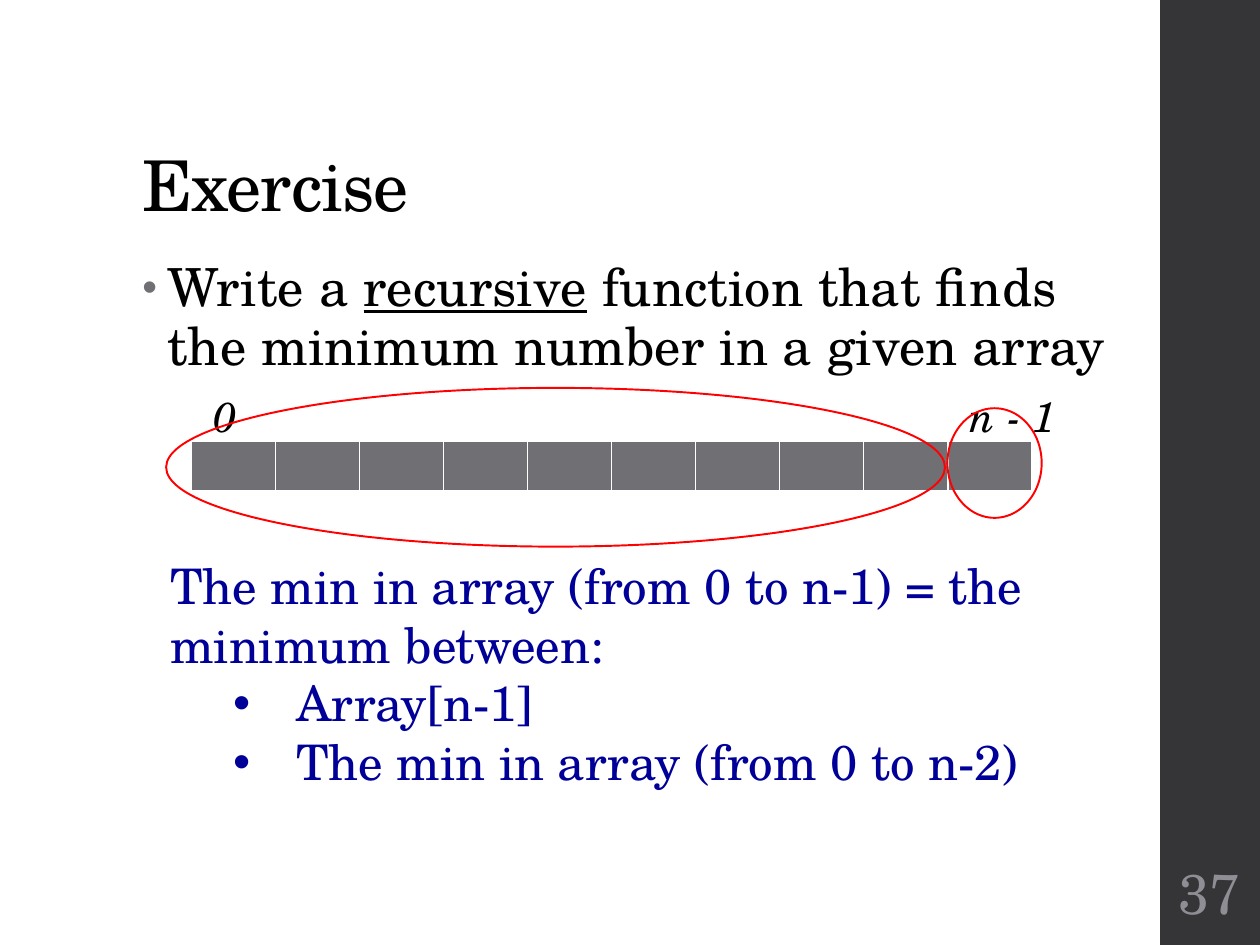
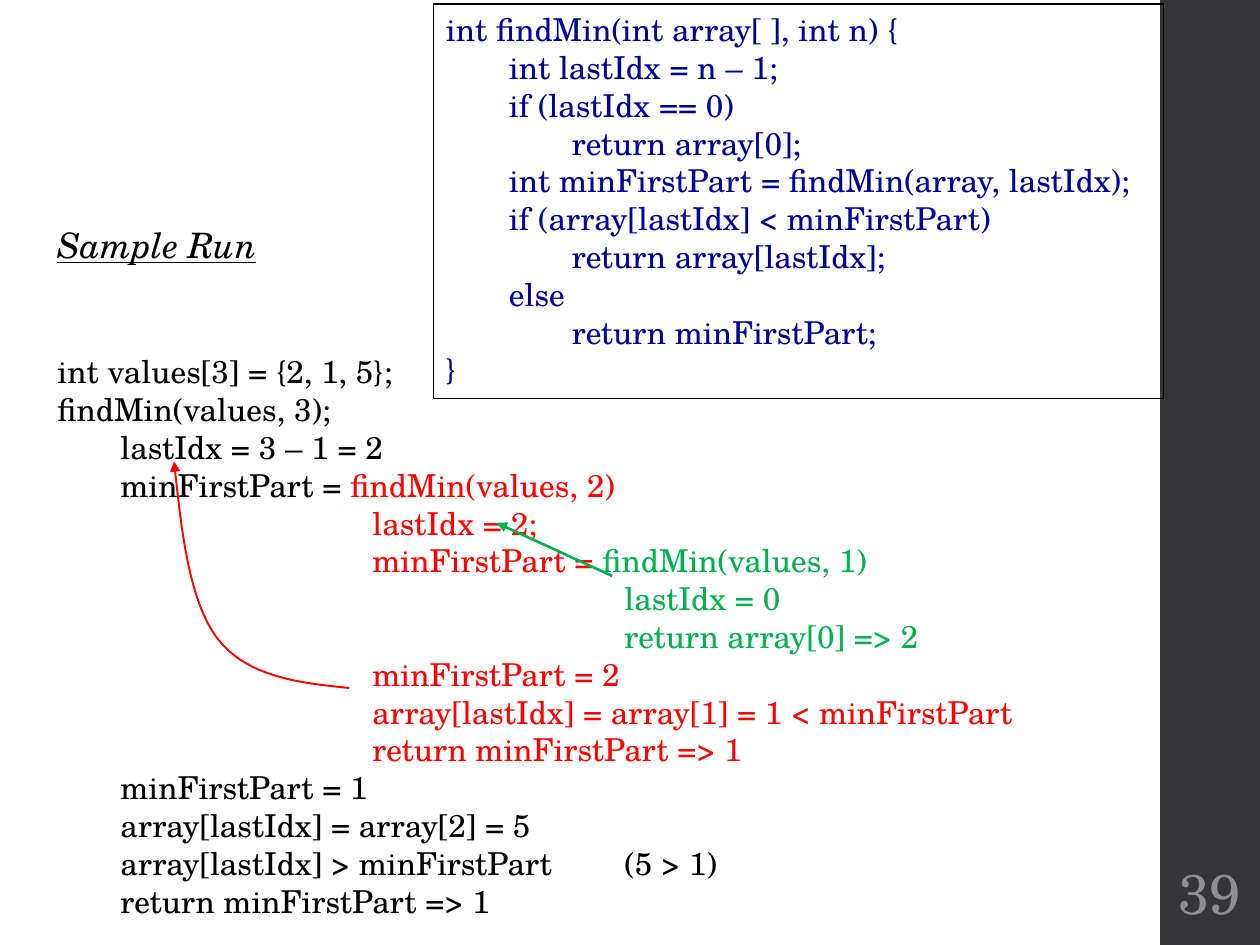
from dataclasses import dataclass
from typing import Any, NamedTuple, Optional

import lxml.etree
import pptx
import pptx.dml.color
import pptx.enum.shapes
import pptx.enum.text
import pptx.oxml.ns
import pptx.util

Cm = pptx.util.Cm
Pt = pptx.util.Pt
RGBColor = pptx.dml.color.RGBColor
qn = pptx.oxml.ns.qn
ShapeType = pptx.enum.shapes.MSO_SHAPE

FONT = "TeX Gyre Schola"
BLACK = RGBColor(0x00, 0x00, 0x00)
WHITE = RGBColor(0xFF, 0xFF, 0xFF)
BAND = RGBColor(0x35, 0x35, 0x37)
GRAY = RGBColor(0x6F, 0x6F, 0x74)
NUMBER_GRAY = RGBColor(0x8E, 0x8E, 0x94)
NAVY = RGBColor(0x00, 0x00, 0x99)
RED = RGBColor(0xFF, 0x00, 0x00)
GREEN = RGBColor(0x00, 0xB0, 0x50)

TAB_STEP = Cm(1.27)
TAB_COUNT = 10
ARRAY_CELLS = 10
CURVE_STEPS = 16


class Box(NamedTuple):
    """Left, top, width and height in centimetres."""
    left: float
    top: float
    width: float
    height: float

    def lengths(self) -> list[int]:
        return [Cm(value) for value in self]


class Piece(NamedTuple):
    text: str
    color: Optional[RGBColor] = None
    underline: bool = False


class Bullet(NamedTuple):
    margin: float
    hanging: float
    color: RGBColor
    percent: int = 100


@dataclass
class Line:
    pieces: list[Piece]
    bullet: Optional[Bullet] = None


@dataclass
class Style:
    size: int
    color: RGBColor = BLACK
    italic: bool = False
    line_spacing: float = 1.0
    letter_spacing: int = 0  # hundredths of a point
    tabs: bool = False
    alignment: Any = pptx.enum.text.PP_ALIGN.LEFT
    anchor: Any = pptx.enum.text.MSO_ANCHOR.TOP


def add_element(parent: Any, tag: str, **attributes: Any) -> Any:
    element = lxml.etree.SubElement(parent, qn(tag))
    for name, value in attributes.items():
        element.set(name, str(value))
    return element


def add_color(parent: Any, color: RGBColor) -> None:
    add_element(parent, "a:srgbClr", val=color)


# Text

def add_bullet(properties: Any, bullet: Bullet) -> None:
    properties.set("marL", str(Cm(bullet.margin)))
    properties.set("indent", str(-Cm(bullet.hanging)))
    add_color(add_element(properties, "a:buClr"), bullet.color)
    add_element(properties, "a:buSzPct", val=bullet.percent * 1000)
    add_element(properties, "a:buFont", typeface="Arial")
    add_element(properties, "a:buChar", char="•")


def write_lines(text_frame: Any, lines: list[Line], style: Style) -> None:
    text_frame.word_wrap = True
    text_frame.vertical_anchor = style.anchor
    for index, line in enumerate(lines):
        paragraph = text_frame.add_paragraph() if index else text_frame.paragraphs[0]
        properties = paragraph._p.get_or_add_pPr()
        if line.bullet:
            add_bullet(properties, line.bullet)
        if style.tabs:
            tab_list = add_element(properties, "a:tabLst")
            for stop in range(1, TAB_COUNT + 1):
                add_element(tab_list, "a:tab", pos=stop * TAB_STEP, algn="l")
        paragraph.alignment = style.alignment
        paragraph.line_spacing = style.line_spacing
        for piece in line.pieces:
            run = paragraph.add_run()
            run.text = piece.text
            run.font.name = FONT
            run.font.size = Pt(style.size)
            run.font.italic = style.italic
            run.font.underline = piece.underline
            run.font.color.rgb = piece.color or style.color
            if style.letter_spacing:
                run.font._element.set("spc", str(style.letter_spacing))


def add_text(slide: Any, box: Box, lines: list[Line], style: Style) -> Any:
    shape = slide.shapes.add_textbox(*box.lengths())
    write_lines(shape.text_frame, lines, style)
    return shape


def plain_lines(text: str, color: Optional[RGBColor] = None) -> list[Line]:
    return [Line([Piece(row, color)]) for row in text.split("\n")]


# Shapes and lines

def add_outline(slide: Any, kind: Any, box: Box, color: RGBColor, width: float) -> Any:
    shape = slide.shapes.add_shape(kind, *box.lengths())
    shape.shadow.inherit = False
    shape.fill.background()
    shape.line.color.rgb = color
    shape.line.width = Pt(width)
    return shape


def style_arrow(shape: Any, color: RGBColor, width: float) -> None:
    shape.line.color.rgb = color
    shape.line.width = Pt(width)
    properties = shape.element.spPr
    add_element(properties.find(qn("a:ln")), "a:tailEnd", type="triangle")
    if properties.find(qn("a:effectLst")) is None:
        add_element(properties, "a:effectLst")


def curve_points(corners: list[tuple[float, float]]) -> list[tuple[int, int]]:
    """Points along one cubic curve, without its start."""
    points = []
    for step in range(1, CURVE_STEPS + 1):
        t = step / CURVE_STEPS
        weights = ((1 - t) ** 3, 3 * t * (1 - t) ** 2, 3 * t * t * (1 - t), t ** 3)
        x, y = (sum(w * c[axis] for w, c in zip(weights, corners)) for axis in (0, 1))
        points.append((Cm(x), Cm(y)))
    return points


def add_curved_arrow(slide: Any, corners: list[tuple[float, float]], color: RGBColor) -> None:
    start_x, start_y = corners[0]
    builder = slide.shapes.build_freeform(Cm(start_x), Cm(start_y))
    for first in range(0, len(corners) - 1, 3):
        builder.add_line_segments(curve_points(corners[first:first + 4]), close=False)
    shape = builder.convert_to_shape()
    shape.fill.background()
    style_arrow(shape, color, 1.1)


def add_array(slide: Any, box: Box) -> None:
    frame = slide.shapes.add_table(1, ARRAY_CELLS, *box.lengths())
    table = frame.table
    table.first_row = False
    table.horz_banding = False
    borders = {"a:lnL": 1, "a:lnR": 1, "a:lnT": 1, "a:lnB": 3}
    for cell in table.iter_cells():
        properties = cell._tc.get_or_add_tcPr()
        for tag, width in borders.items():
            border = add_element(properties, tag, w=Pt(width))
            add_color(add_element(border, "a:solidFill"), WHITE)
        cell.fill.solid()
        cell.fill.fore_color.rgb = GRAY


def new_slide(presentation: Any, number: int) -> Any:
    """Blank slide with the dark side band and its number."""
    slide = presentation.slides.add_slide(presentation.slide_layouts[6])
    band = slide.shapes.add_shape(ShapeType.RECTANGLE, *Box(23.39, 0, 2.01, 19.05).lengths())
    band.shadow.inherit = False
    band.fill.solid()
    band.fill.fore_color.rgb = BAND
    band.line.fill.background()
    style = Style(32, NUMBER_GRAY, alignment=pptx.enum.text.PP_ALIGN.CENTER,
                  anchor=pptx.enum.text.MSO_ANCHOR.MIDDLE)
    label = add_text(slide, Box(23.44, 17.15, 1.9, 1.65), plain_lines(str(number)), style)
    label.text_frame.margin_left = label.text_frame.margin_right = Cm(0.08)
    return slide


# Slides

def build_exercise(presentation: Any) -> None:
    slide = new_slide(presentation, 37)
    add_text(slide, Box(2.62, 1.02, 20.19, 3.68), plain_lines("Exercise"),
             Style(40, line_spacing=0.9, letter_spacing=-50,
                   anchor=pptx.enum.text.MSO_ANCHOR.BOTTOM))
    task = Line([Piece("Write a "), Piece("recursive", underline=True),
                 Piece(" function that finds the minimum number in a given array")],
                Bullet(0.51, 0.51, GRAY, 80))
    add_text(slide, Box(2.62, 5.08, 20.83, 12.09), [task],
             Style(30, line_spacing=0.95, letter_spacing=10))

    # Recursive rule
    bullet = Bullet(2.54, 1.27, NAVY)
    rule = [Line([Piece("The min in array (from 0 to n-1) = the minimum between:")]),
            Line([Piece("Array[n-1]")], bullet),
            Line([Piece("The min in array (from 0 to n-2)")], bullet)]
    add_text(slide, Box(3.18, 11.07, 20.52, 5.05), rule, Style(28, NAVY))

    # Array with its index labels and the two parts circled
    add_array(slide, Box(3.86, 8.89, 16.94, 1.04))
    for text, left, width in (("0", 4.06, 1.47), ("n - 1", 19.3, 2.34)):
        add_text(slide, Box(left, 7.75, width, 1.27), plain_lines(text), Style(24, italic=True))
    for part in (Box(19.1, 8.23, 1.9, 2.21), Box(3.35, 7.82, 15.7, 3.2)):
        add_outline(slide, ShapeType.OVAL, part, RED, 1.1)


FIND_MIN_CODE = """int findMin(int array[ ], int n) {
\tint lastIdx = n – 1;
\tif (lastIdx == 0)
\t\treturn array[0];
\tint minFirstPart = findMin(array, lastIdx);
\tif (array[lastIdx] < minFirstPart)
\t\treturn array[lastIdx];
\telse
\t\treturn minFirstPart;
}"""

SECOND_CALL = "\t" * 5
THIRD_CALL = "\t" * 9
TRACE = [
    *plain_lines("int values[3] = {2, 1, 5};\nfindMin(values, 3);\n\tlastIdx = 3 – 1 = 2"),
    Line([Piece("\tminFirstPart = "), Piece("findMin(values, 2)", RED)]),
    Line([Piece(SECOND_CALL + "lastIdx = 2;", RED)]),
    Line([Piece(SECOND_CALL + "minFirstPart = ", RED), Piece("findMin(values, 1)", GREEN)]),
    Line([Piece(THIRD_CALL + "lastIdx = 0", GREEN)]),
    Line([Piece(THIRD_CALL + "return array[0] => 2", GREEN)]),
    Line([Piece(SECOND_CALL + "minFirstPart = 2", RED)]),
    Line([Piece(SECOND_CALL + "array[lastIdx] = array[1] = 1 < minFirstPart", RED)]),
    Line([Piece(SECOND_CALL + "return minFirstPart => 1", RED)]),
    *plain_lines("\tminFirstPart = 1\n\tarray[lastIdx] = array[2] = 5\n"
                 "\tarray[lastIdx] > minFirstPart\t\t(5 > 1)\n\treturn minFirstPart => 1"),
]


def build_sample_run(presentation: Any) -> None:
    slide = new_slide(presentation, 39)
    code_box = add_outline(slide, ShapeType.RECTANGLE, Box(8.74, 0.08, 14.71, 7.95), BLACK, 0.75)
    write_lines(code_box.text_frame, plain_lines(FIND_MIN_CODE), Style(18, NAVY, tabs=True))
    add_text(slide, Box(0.91, 6.98, 20.88, 11.79), TRACE, Style(18, tabs=True))
    add_text(slide, Box(0.91, 4.39, 6.99, 1.12),
             [Line([Piece("Sample Run", underline=True)])], Style(20, italic=True))

    # Arrows from each returned value to its caller
    add_curved_arrow(slide, [(7.04, 13.87), (6.02, 13.77), (4.98, 13.64), (4.39, 12.88),
                             (3.81, 12.12), (3.66, 10.72), (3.51, 9.3)], RED)
    arrow = slide.shapes.add_connector(pptx.enum.shapes.MSO_CONNECTOR.STRAIGHT,
                                       Cm(12.34), Cm(11.61), Cm(10.01), Cm(10.54))
    style_arrow(arrow, GREEN, 1.5)


def main() -> None:
    presentation = pptx.Presentation()
    presentation.slide_width = Cm(25.4)
    presentation.slide_height = Cm(19.05)
    build_exercise(presentation)
    build_sample_run(presentation)
    presentation.save("out.pptx")


if __name__ == "__main__":
    main()
